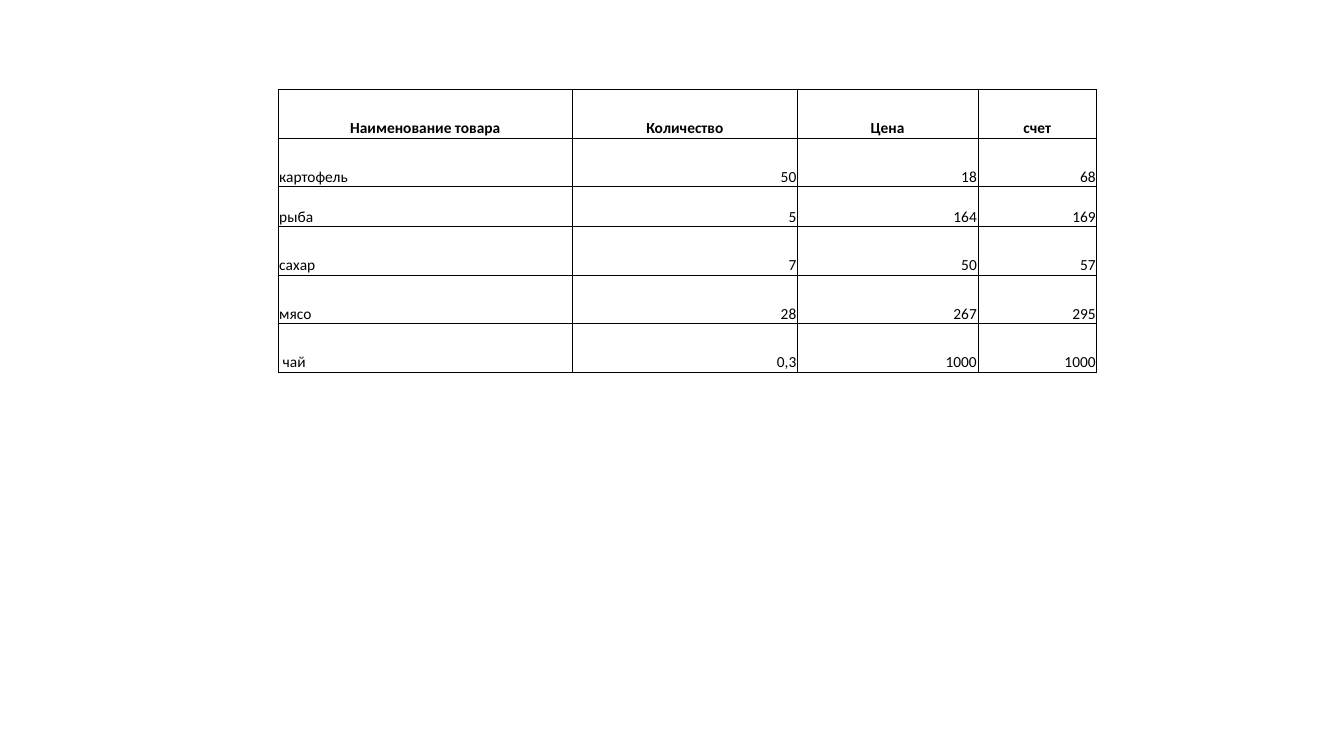
import lxml.etree
import pptx
import pptx.dml.color
import pptx.enum.text
import pptx.oxml.ns
import pptx.util

BLACK = pptx.dml.color.RGBColor(0, 0, 0)
WHITE = pptx.dml.color.RGBColor(255, 255, 255)
ALIGN = pptx.enum.text.PP_ALIGN

presentation = pptx.Presentation()
presentation.slide_width = pptx.util.Inches(13.33)
presentation.slide_height = pptx.util.Inches(7.5)
column_unit = presentation.slide_width / 100
row_unit = presentation.slide_height / 100

slide = presentation.slides.add_slide(presentation.slide_layouts[6])
slide.background.fill.solid()
slide.background.fill.fore_color.rgb = WHITE

goods = [
    ("Наименование товара", "Количество", "Цена", "счет"),
    ("картофель", "50", "18", "68"),
    ("рыба", "5", "164", "169"),
    ("сахар ", "7", "50", "57"),
    ("мясо", "28", "267", "295"),
    (" чай", "0,3", "1000", "1000"),
]
column_shares = [21.9, 16.73, 13.43, 8.85]
row_shares = [6.4, 6.4, 5.33, 6.4, 6.4, 6.4]


def add_borders(cell):
    properties = cell._tc.get_or_add_tcPr()
    for side in ("a:lnL", "a:lnR", "a:lnT", "a:lnB"):
        line = lxml.etree.SubElement(properties, pptx.oxml.ns.qn(side), w=str(pptx.util.Pt(0.5)))
        fill = lxml.etree.SubElement(line, pptx.oxml.ns.qn("a:solidFill"))
        lxml.etree.SubElement(fill, pptx.oxml.ns.qn("a:srgbClr"), val=str(BLACK))


table = slide.shapes.add_table(
    len(row_shares), len(column_shares),
    int(20.7 * column_unit), int(11.87 * row_unit),
    int(sum(column_shares) * column_unit), int(sum(row_shares) * row_unit),
).table
table.first_row = False
table.horz_banding = False
for column, share in zip(table.columns, column_shares):
    column.width = int(share * column_unit)
for row, share in zip(table.rows, row_shares):
    row.height = int(share * row_unit)

for row_index, values in enumerate(goods):
    for column_index, value in enumerate(values):
        is_header = row_index == 0
        cell = table.cell(row_index, column_index)
        cell.margin_left = cell.margin_right = cell.margin_top = pptx.util.Inches(0.01)
        cell.margin_bottom = 0
        cell.vertical_anchor = pptx.enum.text.MSO_ANCHOR.BOTTOM
        add_borders(cell)
        cell.fill.background()
        cell.text_frame.text = value
        paragraph = cell.text_frame.paragraphs[0]
        if is_header:
            paragraph.alignment = ALIGN.CENTER
        else:
            paragraph.alignment = ALIGN.RIGHT if column_index else ALIGN.LEFT
        font = paragraph.runs[0].font
        font.name = "Calibri"
        font.size = pptx.util.Pt(11)
        font.bold = is_header
        font.color.rgb = BLACK

presentation.save("out.pptx")
